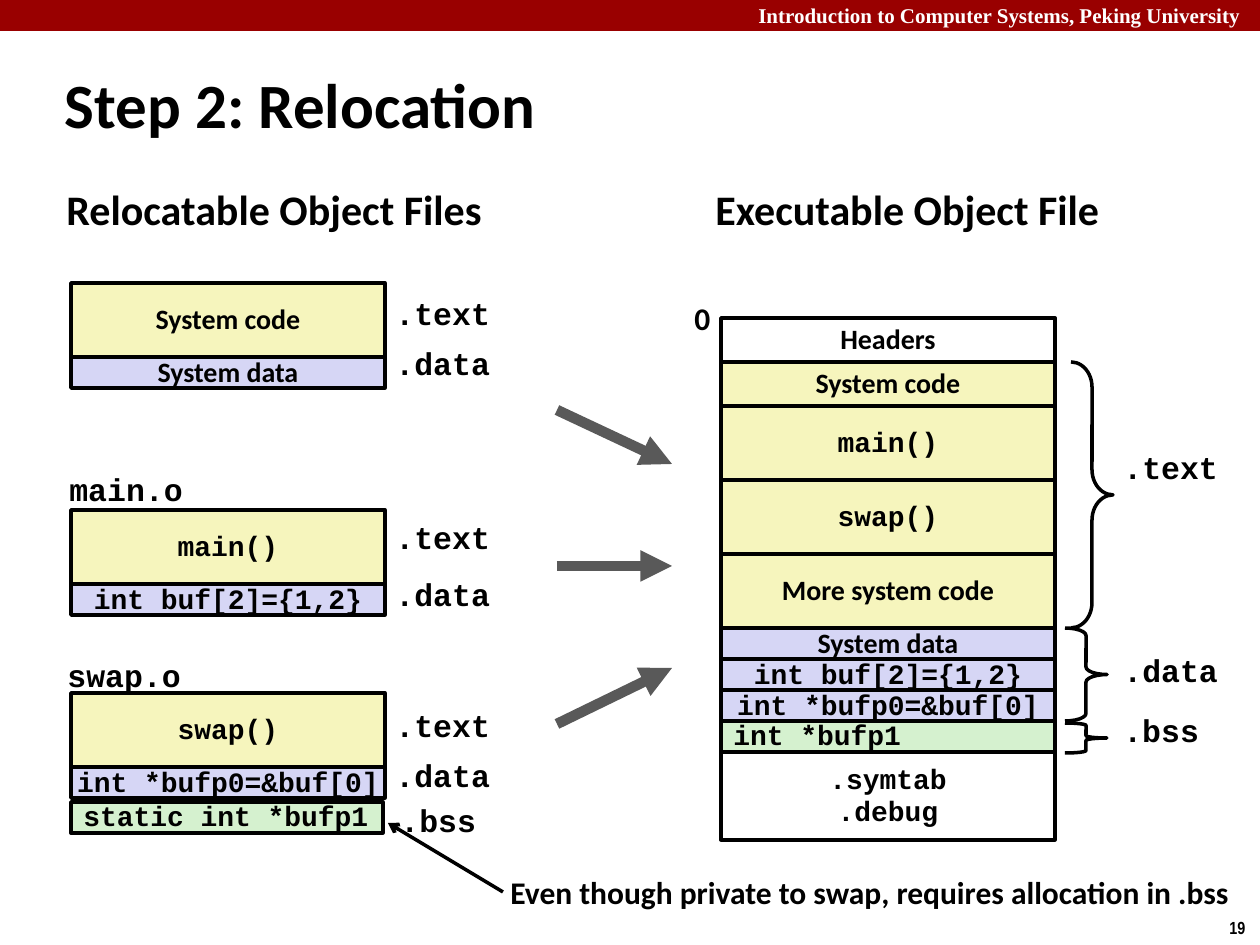
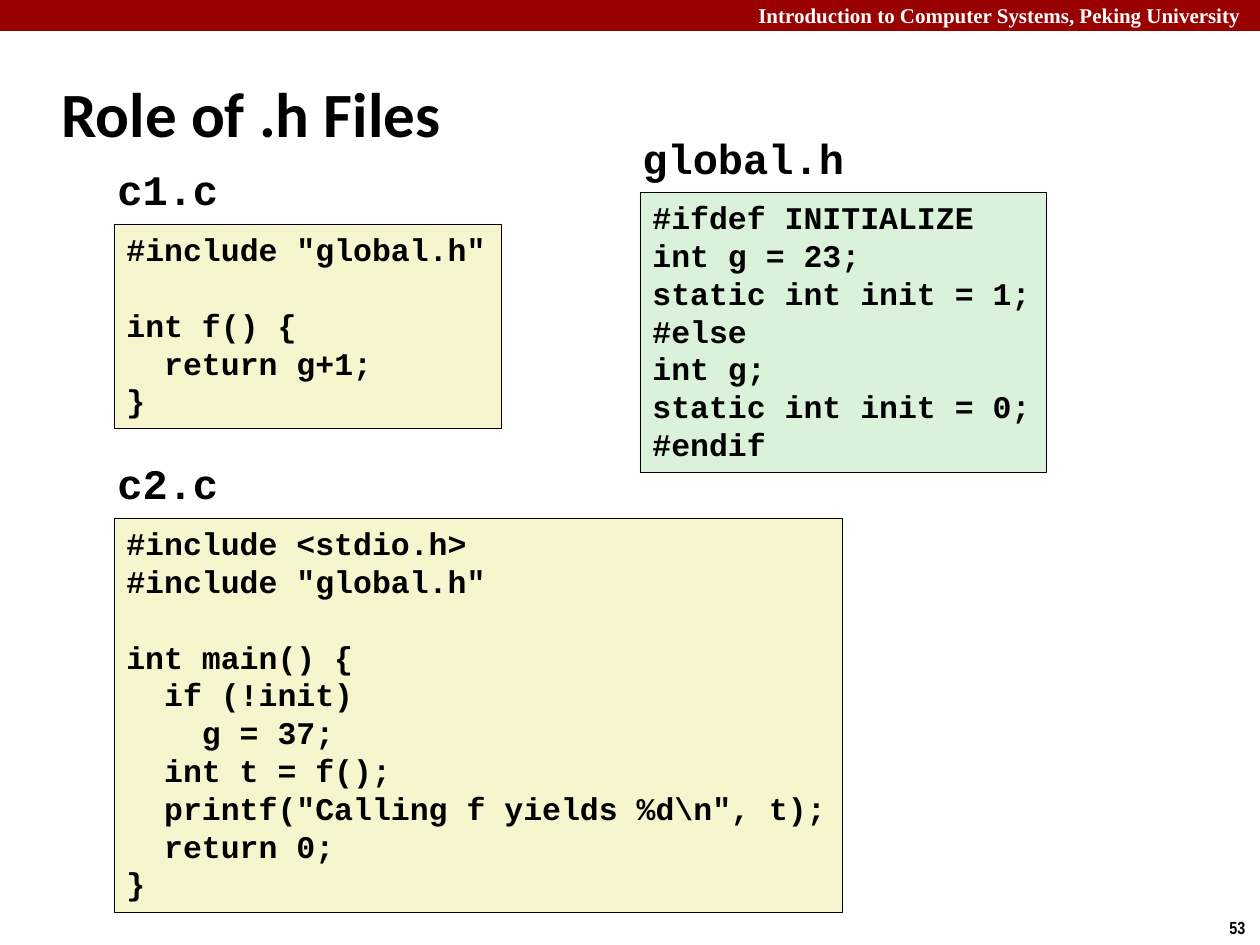
from dataclasses import dataclass

from lxml.etree import SubElement
from pptx import Presentation
from pptx.dml.color import RGBColor
from pptx.enum.shapes import MSO_CONNECTOR, MSO_SHAPE
from pptx.enum.text import MSO_ANCHOR, MSO_AUTO_SIZE, PP_ALIGN
from pptx.oxml.ns import qn
from pptx.slide import Slide
from pptx.text.text import TextFrame
from pptx.util import Emu, Length, Pt

EMU_PER_PX = 914400 / 126
SLIDE_SIZE = (1260, 945)

BLACK = RGBColor(0x00, 0x00, 0x00)
WHITE = RGBColor(0xFF, 0xFF, 0xFF)
BAND_RED = RGBColor(0x99, 0x00, 0x00)
CODE_YELLOW = RGBColor(0xF6, 0xF5, 0xBD)
DATA_LILAC = RGBColor(0xD6, 0xD6, 0xF5)
BSS_GREEN = RGBColor(0xD5, 0xF1, 0xCF)
SOURCE_CREAM = RGBColor(0xF7, 0xF5, 0xCD)
HEADER_GREEN = RGBColor(0xDB, 0xF2, 0xDA)
ARROW_GRAY = RGBColor(0x59, 0x59, 0x59)


@dataclass(frozen=True)
class Style:
    font: str
    size: int
    color: RGBColor = BLACK
    spacing: float | Length = 1.0


TITLE = Style("Calibri", 36)
COURSE = Style("Times New Roman", 12, WHITE)
PAGE_NUMBER = Style("Arial Narrow", 10)
HEADING = Style("Calibri", 24, spacing=0.98)
NOTE = Style("Calibri", 18)
SECTION = Style("Courier New", 18, spacing=0.94)
WORDS = Style("Calibri", 16, spacing=0.98)
MONO = Style("Courier New", 16, spacing=0.94)
FILE_NAME = Style("Courier New", 24)
SOURCE = Style("Courier New", 18, spacing=Pt(21.6))


@dataclass(frozen=True)
class Box:
    left: int
    top: int
    width: int
    height: int

    def emu(self) -> tuple[Emu, Emu, Emu, Emu]:
        return px(self.left), px(self.top), px(self.width), px(self.height)


@dataclass(frozen=True)
class Label:
    text: str
    box: Box
    style: Style


@dataclass(frozen=True)
class Cell:
    text: str
    height: int
    fill: RGBColor
    style: Style = MONO
    align: PP_ALIGN = PP_ALIGN.CENTER


@dataclass(frozen=True)
class Stack:
    left: int
    top: int
    width: int
    cells: tuple[Cell, ...]


@dataclass(frozen=True)
class Brace:
    box: Box
    curl: float


@dataclass(frozen=True)
class Arrow:
    start: tuple[int, int]
    end: tuple[int, int]
    color: RGBColor = ARROW_GRAY
    width: int = 6
    head: str = "triangle"


@dataclass(frozen=True)
class Listing:
    name: Label
    box: Box
    fill: RGBColor
    code: str


def px(length: int) -> Emu:
    return Emu(round(length * EMU_PER_PX))


def write(frame: TextFrame, text: str, style: Style,
          align: PP_ALIGN = PP_ALIGN.LEFT, anchor: MSO_ANCHOR = MSO_ANCHOR.TOP) -> None:
    frame.auto_size = MSO_AUTO_SIZE.NONE
    frame.word_wrap = False
    frame.vertical_anchor = anchor
    paragraph, gap = frame.paragraphs[0], 0
    for number, line in enumerate(text.split("\n")):
        if not line:
            gap += 1
            continue
        if number:
            paragraph = frame.add_paragraph()
        paragraph.text = line
        paragraph.alignment = align
        paragraph.line_spacing = style.spacing
        if gap:
            paragraph.space_before = gap * style.spacing
            gap = 0
        font = paragraph.font
        font.name, font.size, font.bold = style.font, Pt(style.size), True
        font.color.rgb = style.color


def draw_label(slide: Slide, label: Label) -> None:
    write(slide.shapes.add_textbox(*label.box.emu()).text_frame, label.text, label.style)


def draw_panel(slide: Slide, box: Box, fill: RGBColor, line_width: float) -> TextFrame:
    panel = slide.shapes.add_shape(MSO_SHAPE.RECTANGLE, *box.emu())
    panel.shadow.inherit = False
    panel.fill.solid()
    panel.fill.fore_color.rgb = fill
    if line_width:
        panel.line.color.rgb = BLACK
        panel.line.width = Pt(line_width)
    else:
        panel.line.fill.background()
    return panel.text_frame


def draw_stack(slide: Slide, stack: Stack) -> None:
    top = stack.top
    for cell in stack.cells:
        frame = draw_panel(slide, Box(stack.left, top, stack.width, cell.height), cell.fill, 2)
        write(frame, cell.text, cell.style, cell.align, MSO_ANCHOR.MIDDLE)
        top += cell.height


def draw_brace(slide: Slide, brace: Brace) -> None:
    curve = slide.shapes.add_shape(MSO_SHAPE.RIGHT_BRACE, *brace.box.emu())
    curve.shadow.inherit = False
    curve.adjustments[0] = brace.curl
    curve.fill.background()
    curve.line.color.rgb = BLACK
    curve.line.width = Pt(2)


def draw_arrow(slide: Slide, arrow: Arrow) -> None:
    ends = [px(length) for length in arrow.start + arrow.end]
    connector = slide.shapes.add_connector(MSO_CONNECTOR.STRAIGHT, *ends)
    connector.line.color.rgb = arrow.color
    connector.line.width = Pt(arrow.width)
    properties = connector._element.spPr
    SubElement(properties.find(qn("a:ln")), qn("a:tailEnd"), type=arrow.head)
    SubElement(properties, qn("a:effectLst"))


def draw_listing(slide: Slide, listing: Listing) -> None:
    write(draw_panel(slide, listing.box, listing.fill, 0.25), listing.code, SOURCE)
    draw_label(slide, listing.name)


def add_slide(deck: Presentation, title: str, title_box: Box, page: str) -> Slide:
    slide = deck.slides.add_slide(deck.slide_layouts[5])
    heading = slide.shapes.title
    heading.left, heading.top, heading.width, heading.height = title_box.emu()
    write(heading.text_frame, title, TITLE, anchor=MSO_ANCHOR.MIDDLE)
    draw_panel(slide, Box(0, 0, 1260, 31), BAND_RED, 0)
    draw_label(slide, Label("Introduction to Computer Systems, Peking University",
                            Box(746, -4, 514, 38), COURSE))
    draw_label(slide, Label(page, Box(1217, 911, 43, 34), PAGE_NUMBER))
    return slide


def code_cell(text: str, style: Style = MONO, height: int = 74) -> Cell:
    return Cell(text, height, CODE_YELLOW, style)


def data_cell(text: str, style: Style = MONO) -> Cell:
    return Cell(text, 31, DATA_LILAC, style)


def bss_cell(text: str) -> Cell:
    return Cell(text, 31, BSS_GREEN, align=PP_ALIGN.LEFT)


def section(text: str, left: int, top: int) -> Label:
    return Label(text, Box(left, top, 25 + 19 * len(text), 49), SECTION)


SYSTEM_DATA = data_cell("System data", WORDS)
MAIN, SWAP = code_cell("main()"), code_cell("swap()")
BUF, BUFP0 = data_cell("int buf[2]={1,2}"), data_cell("int *bufp0=&buf[0]")

STACKS = (
    Stack(71, 283, 314, (code_cell("System code", WORDS), SYSTEM_DATA)),
    Stack(71, 510, 314, (MAIN, BUF)),
    Stack(71, 693, 314, (SWAP, BUFP0)),
    Stack(71, 802, 312, (bss_cell("static int *bufp1"),)),
    Stack(721, 318, 334, (
        Cell("Headers", 44, WHITE, WORDS),
        code_cell("System code", WORDS, 44),
        MAIN,
        SWAP,
        code_cell("More system code", WORDS),
        SYSTEM_DATA,
        BUF,
        BUFP0,
        bss_cell("int *bufp1"),
        Cell(".symtab\n.debug", 88, WHITE),
    )),
)

LABELS = (
    Label("Relocatable Object Files", Box(54, 180, 445, 63), HEADING),
    Label("Executable Object File", Box(703, 180, 413, 63), HEADING),
    Label("0", Box(682, 295, 43, 50), Style("Calibri", 18, spacing=0.98)),
    section("main.o", 57, 467),
    section("swap.o", 55, 653),
    *(section(".text", 383, top) for top in (291, 515, 703)),
    *(section(".data", 383, top) for top in (341, 572, 753)),
    section(".bss", 388, 798),
    section(".text", 1111, 445),
    section(".data", 1111, 648),
    section(".bss", 1111, 708),
    Label("Even though private to swap, requires allocation in .bss",
          Box(498, 867, 750, 50), NOTE),
)

BRACES = (
    Brace(Box(1071, 362, 42, 266), 0.6),
    Brace(Box(1065, 628, 42, 93), 0.18),
    Brace(Box(1065, 723, 42, 30), 0.08),
)

ARROWS = (
    Arrow((557, 410), (672, 464)),
    Arrow((557, 566), (672, 566)),
    Arrow((557, 724), (672, 668)),
    Arrow((503, 892), (388, 823), BLACK, 2, "arrow"),
)

LISTINGS = (
    Listing(Label("c1.c", Box(105, 157, 127, 63), FILE_NAME),
            Box(114, 224, 387, 204), SOURCE_CREAM,
            """#include "global.h"

int f() {
  return g+1;
}"""),
    Listing(Label("global.h", Box(630, 126, 228, 63), FILE_NAME),
            Box(640, 192, 406, 280), HEADER_GREEN,
            """#ifdef INITIALIZE
int g = 23;
static int init = 1;
#else
int g;
static int init = 0;
#endif"""),
    Listing(Label("c2.c", Box(105, 451, 127, 63), FILE_NAME),
            Box(114, 518, 728, 394), SOURCE_CREAM,
            r"""#include <stdio.h>
#include "global.h"

int main() {
  if (!init)
    g = 37;
  int t = f();
  printf("Calling f yields %d\n", t);
  return 0;
}"""),
)


def main() -> None:
    deck = Presentation()
    deck.slide_width, deck.slide_height = (px(side) for side in SLIDE_SIZE)

    relocation = add_slide(deck, "Step 2: Relocation", Box(52, 64, 1047, 79), "19")
    for draw, parts in ((draw_stack, STACKS), (draw_label, LABELS),
                        (draw_brace, BRACES), (draw_arrow, ARROWS)):
        for part in parts:
            draw(relocation, part)

    header_role = add_slide(deck, "Role of .h Files", Box(49, 60, 1046, 105), "53")
    for listing in LISTINGS:
        draw_listing(header_role, listing)

    deck.save("out.pptx")


if __name__ == "__main__":
    main()
